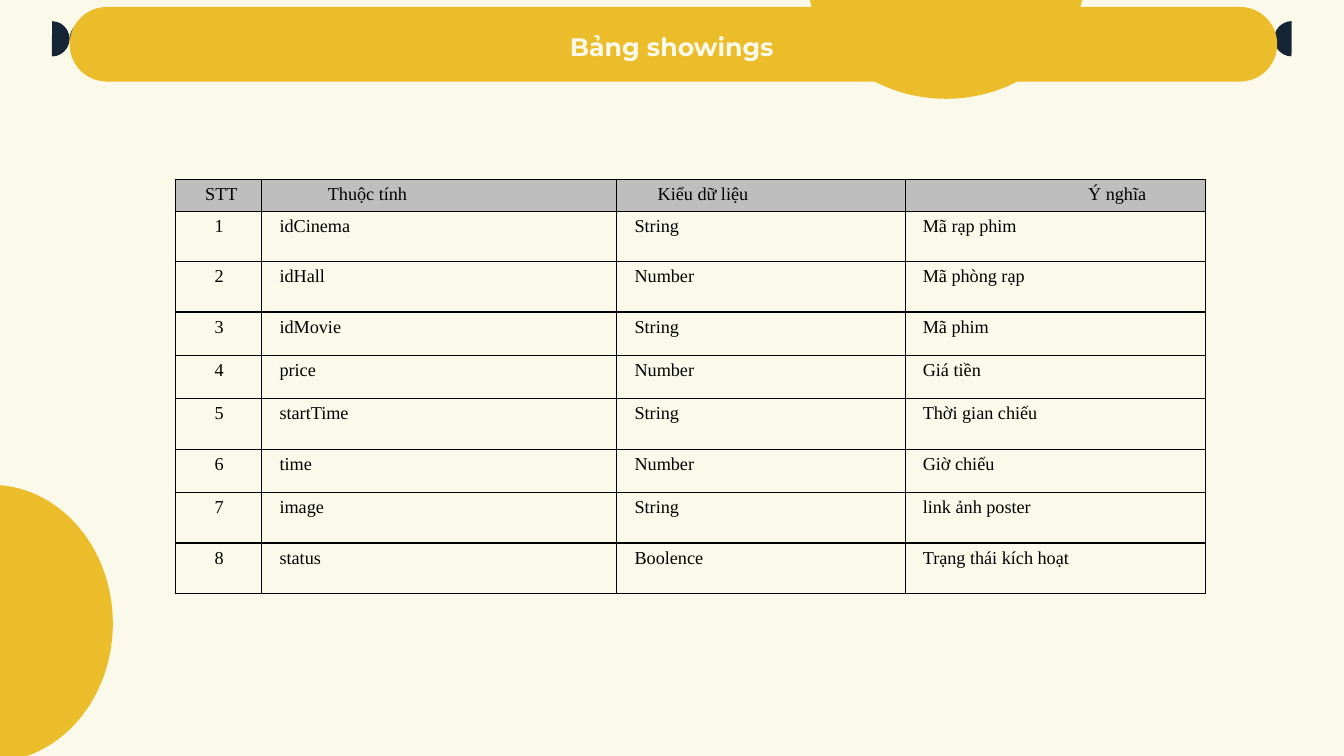
from lxml import etree
from pptx import Presentation
from pptx.dml.color import RGBColor
from pptx.enum.shapes import MSO_SHAPE
from pptx.enum.text import MSO_ANCHOR, PP_ALIGN
from pptx.oxml.ns import qn
from pptx.util import Pt

PIE, OVAL, ROUNDED = MSO_SHAPE.PIE, MSO_SHAPE.OVAL, MSO_SHAPE.ROUNDED_RECTANGLE
LEFT, CENTER, RIGHT = PP_ALIGN.LEFT, PP_ALIGN.CENTER, PP_ALIGN.RIGHT
MIDDLE = MSO_ANCHOR.MIDDLE

CREAM, YELLOW, NAVY, GRAY, BLACK = "FBF9EA", "ECBD2A", "162535", "BEBEBE", "000000"


def color(hex_value):
    return RGBColor.from_string(hex_value)


def add_borders(cell):
    """Draw a thin black line on all four sides of a cell without a fill yet."""
    properties = cell._tc.get_or_add_tcPr()
    for side in ("a:lnL", "a:lnR", "a:lnT", "a:lnB"):
        line = etree.SubElement(properties, qn(side), w=str(Pt(1)))
        solid = etree.SubElement(line, qn("a:solidFill"))
        etree.SubElement(solid, qn("a:srgbClr"), val=BLACK)


prs = Presentation()
prs.slide_width, prs.slide_height = Pt(960), Pt(540)
slide = prs.slides.add_slide(prs.slide_layouts[6])
slide.background.fill.solid()
slide.background.fill.fore_color.rgb = color(CREAM)

# Half discs and title banner: kind, left, top, width, height, rotation, adjustments, fill
decorations = [
    (PIE, -92.9, 346.3, 173.5, 198, 180, (53.46, 162), YELLOW),
    (PIE, 589, -115.2, 173.5, 198, 270, (53.46, 162), YELLOW),
    (PIE, 24.5, 15.1, 25.2, 25.2, 180, (54.58, 162), NAVY),
    (OVAL, 49.7, 15.1, 25.2, 25.2, 180, (), NAVY),
    (PIE, 910.1, 15.1, 25.2, 25.2, 0, (54.58, 162), NAVY),
    (ROUNDED, 49.7, 5, 862.6, 53.3, 0, (0.5,), YELLOW),
]
for kind, left, top, width, height, rotation, adjustments, fill in decorations:
    shape = slide.shapes.add_shape(kind, Pt(left), Pt(top), Pt(width), Pt(height))
    shape.rotation = rotation
    for index, value in enumerate(adjustments):
        shape.adjustments[index] = value
    shape.fill.solid()
    shape.fill.fore_color.rgb = color(fill)
    shape.line.fill.background()
    shape.shadow.inherit = False

title = slide.shapes.add_textbox(Pt(75.6), Pt(5), Pt(808.6), Pt(59.8)).text_frame
title_format = {
    "word_wrap": True, "vertical_anchor": MIDDLE,
    "margin_left": 0, "margin_right": 0, "margin_top": 0, "margin_bottom": 0,
}
for name, value in title_format.items():
    setattr(title, name, value)
heading = title.paragraphs[0]
heading.alignment = CENTER
heading.line_spacing = 0.8
heading_run = heading.add_run()
heading_run.text = "Bảng showings"
for name, value in {"name": "Montserrat", "size": Pt(18), "bold": True}.items():
    setattr(heading_run.font, name, value)
heading_run.font.color.rgb = color(CREAM)

header = ("STT", "Thuộc tính", "Kiểu dữ liệu", "Ý nghĩa")
fields = [
    ("idCinema", "String", "Mã rạp phim"),
    ("idHall", "Number", "Mã phòng rạp"),
    ("idMovie", "String", "Mã phim"),
    ("price", "Number", "Giá tiền"),
    ("startTime", "String", "Thời gian chiếu"),
    ("time", "Number", "Giờ chiếu"),
    ("image", "String", "link ảnh poster"),
    ("status", "Boolence", "Trạng thái kích hoạt"),
]
rows = [header] + [(str(number), *field) for number, field in enumerate(fields, 1)]
column_widths = (61.8, 253.6, 206.4, 213.9)
row_heights = (13, 36, 36, 31, 31, 36, 31, 36, 36)
header_layout = [(CENTER, 4, 0), (LEFT, 40, 0), (LEFT, 22, 0), (RIGHT, 0, 35)]
body_layout = [(CENTER, 1, 0), (LEFT, 5.5, 0), (LEFT, 5.5, 0), (LEFT, 5, 0)]
cell_margins = {
    "margin_left": Pt(7.2), "margin_right": Pt(7.2),
    "margin_top": Pt(3.6), "margin_bottom": Pt(3.6),
}

table = slide.shapes.add_table(
    len(rows), len(header), Pt(125.2), Pt(128),
    Pt(sum(column_widths)), Pt(sum(row_heights))).table
table.first_row = table.horz_banding = False
for column, width in zip(table.columns, column_widths):
    column.width = Pt(width)

for row_index, (texts, height) in enumerate(zip(rows, row_heights)):
    table.rows[row_index].height = Pt(height)
    layout = body_layout if row_index else header_layout
    for column_index, (alignment, indent, right_indent) in enumerate(layout):
        cell = table.cell(row_index, column_index)
        for name, value in cell_margins.items():
            setattr(cell, name, value)
        add_borders(cell)
        if row_index:
            cell.fill.background()
        else:
            cell.fill.solid()
            cell.fill.fore_color.rgb = color(GRAY)
        paragraph = cell.text_frame.paragraphs[0]
        paragraph.alignment = alignment
        indents = paragraph._p.get_or_add_pPr()
        for name, value in {"marL": indent, "marR": right_indent, "indent": 0}.items():
            indents.set(name, str(Pt(value)))
        run = paragraph.add_run()
        run.text = texts[column_index]
        run.font.name = "Times New Roman"
        run.font.size = Pt(13)
        run.font.color.rgb = color(BLACK)

prs.save("out.pptx")
